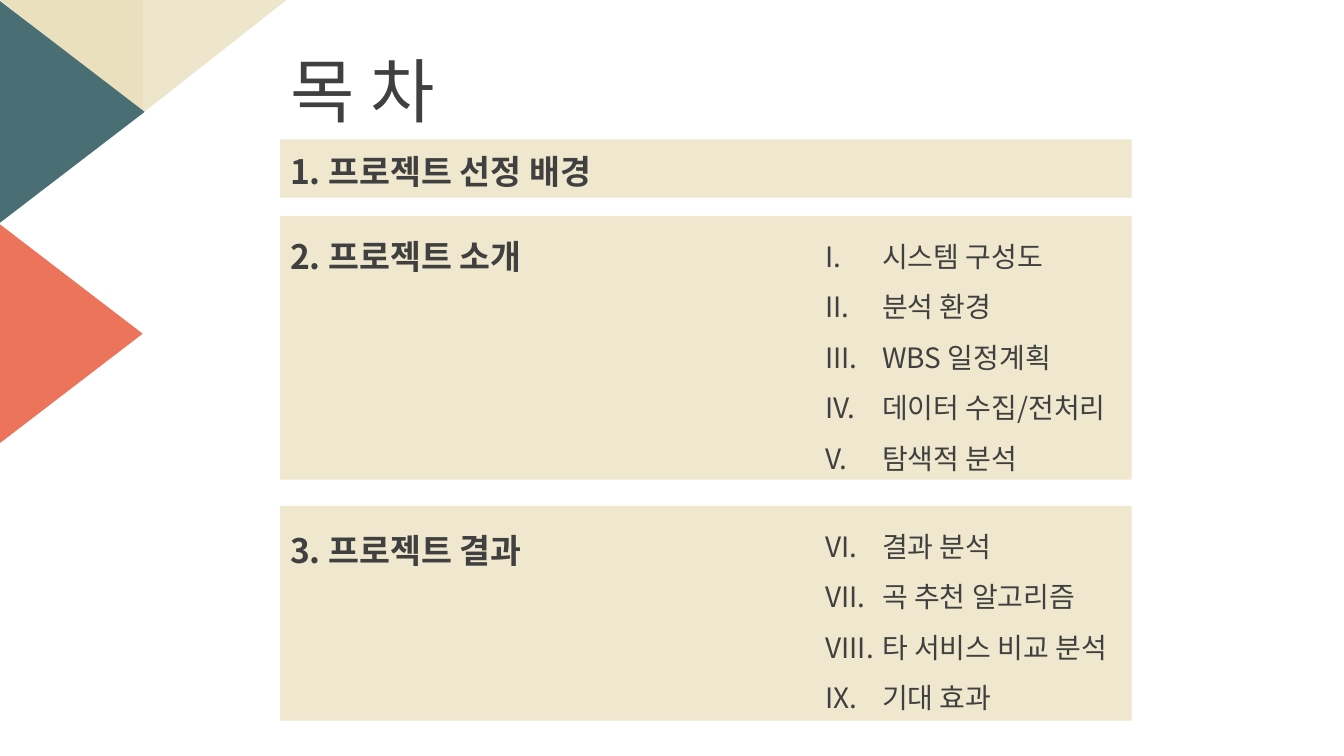
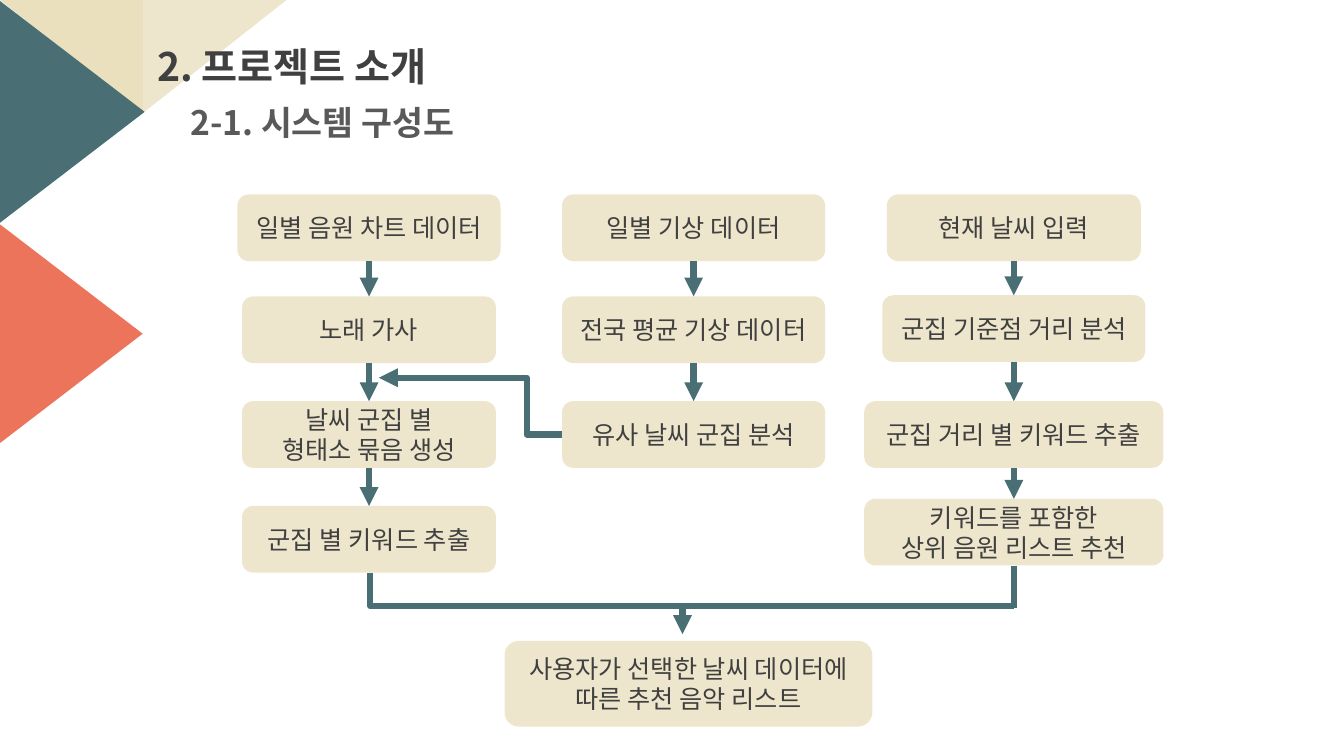
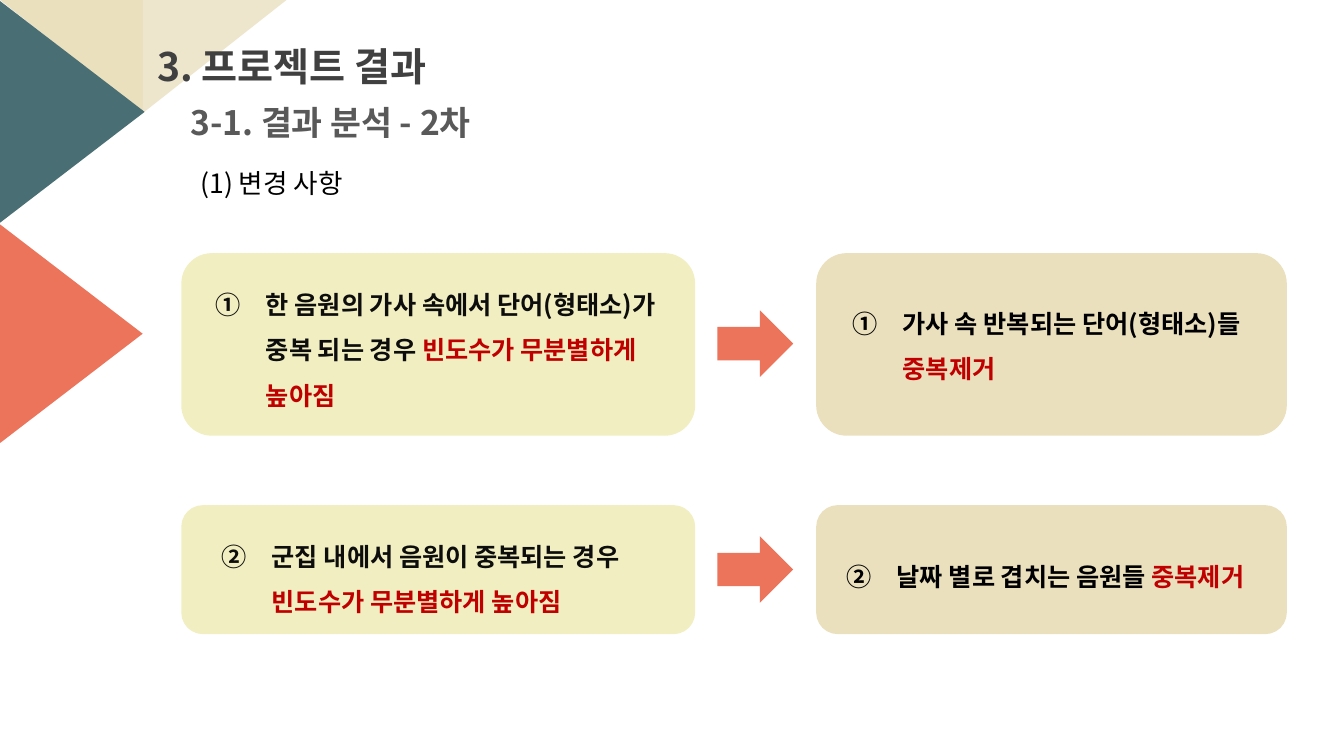
import pptx
import pptx.dml.color
import pptx.enum.shapes
import pptx.enum.text
import pptx.oxml
import pptx.oxml.ns
import pptx.util
import lxml.etree

Cm = pptx.util.Cm
Pt = pptx.util.Pt
RGBColor = pptx.dml.color.RGBColor
SHAPE = pptx.enum.shapes.MSO_SHAPE
CONNECTOR = pptx.enum.shapes.MSO_CONNECTOR
CENTER = pptx.enum.text.PP_ALIGN.CENTER
qn = pptx.oxml.ns.qn

FONT = "Noto Sans CJK KR"
SAND = RGBColor(0xEA, 0xE0, 0xBE)
CREAM = RGBColor(0xEE, 0xE6, 0xCC)
LEMON = RGBColor(0xF1, 0xEF, 0xC1)
TEAL = RGBColor(0x49, 0x6F, 0x74)
CORAL = RGBColor(0xEC, 0x74, 0x5B)
DARK = RGBColor(0x40, 0x40, 0x40)
GRAY = RGBColor(0x59, 0x59, 0x59)
INK = RGBColor(0x0D, 0x0D, 0x0D)
BLACK = RGBColor(0x00, 0x00, 0x00)
RED = RGBColor(0xC0, 0x00, 0x00)


def add_block(page, kind, left, top, width, height, color):
    block = page.shapes.add_shape(kind, Cm(left), Cm(top), Cm(width), Cm(height))
    block.shadow.inherit = False
    block.fill.solid()
    block.fill.fore_color.rgb = color
    block.line.fill.background()
    return block


def add_span(para, text, size, color, bold=False):
    span = para.add_run()
    span.text = text
    span.font.name = FONT
    span.font.size = Pt(size)
    span.font.bold = bold
    span.font.color.rgb = color
    properties = span.font._element
    lxml.etree.SubElement(properties, qn("a:ea")).set("typeface", FONT)


deck = pptx.Presentation()
deck.slide_width = Cm(33.87)
deck.slide_height = Cm(19.05)
blank = deck.slide_layouts[6]
contents, system, result = [deck.slides.add_slide(blank) for _ in range(3)]

for kind, left, top, width, height, turn, color in [
    (SHAPE.RIGHT_TRIANGLE, 0, 0, 3.61, 2.84, 180, SAND),
    (SHAPE.RIGHT_TRIANGLE, 3.99, -0.38, 2.84, 3.61, 90, CREAM),
    (SHAPE.ISOSCELES_TRIANGLE, -0.99, 0.99, 5.61, 3.66, 90, TEAL),
    (SHAPE.ISOSCELES_TRIANGLE, -1.04, 6.58, 5.61, 3.66, 90, CORAL),
]:
    triangle = add_block(contents, kind, left, top, width, height, color)
    triangle.rotation = turn
    blank.shapes.element.append(triangle.element)

numbered = []
cards = [
    (3.51, 1.47, 3.68, "1. 프로젝트 선정 배경", 0, 0, []),
    (5.44, 6.65, 5.82, "2. 프로젝트 소개", 5.49, 1,
     ["시스템 구성도", "분석 환경", "WBS 일정계획", "데이터 수집/전처리", "탐색적 분석"]),
    (12.75, 5.41, 13.23, "3. 프로젝트 결과", 12.79, 6,
     ["결과 분석", "곡 추천 알고리즘", "타 서비스 비교 분석", "기대 효과"]),
]
for top, height, heading_top, heading, list_top, start, items in cards:
    card = add_block(contents, SHAPE.RECTANGLE, 7.06, top, 21.46, height, SAND)
    tint = card.element.spPr.find(qn("a:solidFill")).find(qn("a:srgbClr"))
    lxml.etree.SubElement(tint, qn("a:alpha")).set("val", "74000")
    box = contents.shapes.add_textbox(Cm(7.06), Cm(heading_top), Cm(10.52), Cm(1.27))
    box.text_frame.word_wrap = True
    add_span(box.text_frame.paragraphs[0], heading, 24, DARK, True)
    if items:
        box = contents.shapes.add_textbox(Cm(20.55), Cm(list_top), Cm(8.69), Cm(0.25 + 1.27 * len(items)))
        box.text_frame.word_wrap = True
        for index, item in enumerate(items):
            para = box.text_frame.add_paragraph() if index else box.text_frame.paragraphs[0]
            add_span(para, item, 20, DARK)
            numbered.append((para, "romanUcPeriod", start, 1.43))

box = contents.shapes.add_textbox(Cm(7.06), Cm(1.07), Cm(4.34), Cm(2.39))
box.text_frame.word_wrap = True
add_span(box.text_frame.paragraphs[0], "목 차", 50, DARK)

for page, title, subtitle in [
    (system, "2. 프로젝트 소개", "2-1. 시스템 구성도"),
    (result, "3. 프로젝트 결과", "3-1. 결과 분석 - 2차"),
]:
    for text, left, top, size, color in [(title, 3.71, 1.07, 28, DARK), (subtitle, 4.55, 2.57, 24, GRAY)]:
        box = page.shapes.add_textbox(Cm(left), Cm(top), Cm(16.94), Cm(1.68))
        box.text_frame.word_wrap = True
        para = box.text_frame.paragraphs[0]
        para.line_spacing = 0.9
        add_span(para, text, size, color, True)

STEP_HEIGHT = 1.68
columns = [
    (9.3, [("일별 음원 차트 데이터", 6.63, 4.9), ("노래 가사", 6.4, 7.47),
           ("날씨 군집 별\n형태소 묶음 생성", 6.4, 10.11), ("군집 별 키워드 추출", 6.4, 12.75)]),
    (17.48, [("일별 기상 데이터", 6.63, 4.9), ("전국 평균 기상 데이터", 6.63, 7.47),
             ("유사 날씨 군집 분석", 6.63, 10.11)]),
    (25.55, [("현재 날씨 입력", 6.4, 4.9), ("군집 기준점 거리 분석", 6.63, 7.44),
             ("군집 거리 별 키워드 추출", 7.54, 10.11), ("키워드를 포함한\n상위 음원 리스트 추천", 7.54, 12.57)]),
    (17.35, [("사용자가 선택한 날씨 데이터에 따른 추천 음악 리스트", 9.27, 16.15)]),
]
joins = []
last_steps = []
for center, steps in columns:
    previous = None
    for text, width, top in steps:
        height = STEP_HEIGHT if len(steps) > 1 else 2.16
        step = add_block(system, SHAPE.ROUNDED_RECTANGLE, center - width / 2, top, width, height, CREAM)
        for index, line in enumerate(text.split("\n")):
            para = step.text_frame.add_paragraph() if index else step.text_frame.paragraphs[0]
            para.alignment = CENTER
            add_span(para, line, 18, DARK)
        if previous:
            arrow = system.shapes.add_connector(CONNECTOR.STRAIGHT, 0, 0, 0, 0)
            arrow.begin_connect(previous, 2)
            arrow.end_connect(step, 0)
            joins.append((arrow, True, None))
        previous = step
    last_steps.append(previous)

for kind, x1, y1, x2, y2, has_head, bend in [
    (CONNECTOR.ELBOW, 14.17, 10.95, 9.55, 9.52, True, 19264),
    (CONNECTOR.ELBOW, 9.33, 14.43, 25.55, 15.27, False, 0),
    (CONNECTOR.STRAIGHT, 17.2, 15.27, 17.2, 15.98, True, None),
    (CONNECTOR.STRAIGHT, 25.55, 14.25, 25.55, 15.32, False, None),
]:
    join = system.shapes.add_connector(kind, Cm(x1), Cm(y1), Cm(x2), Cm(y2))
    joins.append((join, has_head, bend))
join.begin_connect(last_steps[2], 2)

for join, has_head, bend in joins:
    join.line.width = Pt(4.5)
    join.line.color.rgb = TEAL
    properties = join.element.spPr
    if has_head:
        lxml.etree.SubElement(properties.find(qn("a:ln")), qn("a:tailEnd")).set("type", "triangle")
    if bend is not None:
        guides = properties.find(qn("a:prstGeom")).find(qn("a:avLst"))
        guide = lxml.etree.SubElement(guides, qn("a:gd"))
        guide.set("name", "adj1")
        guide.set("fmla", f"val {bend}")
    lxml.etree.SubElement(properties, qn("a:effectLst"))

box = result.shapes.add_textbox(Cm(4.8), Cm(4.09), Cm(6), Cm(1.07))
box.text_frame.word_wrap = True
add_span(box.text_frame.paragraphs[0], "(1) 변경 사항", 19, BLACK)

changes = [
    (6.38, 4.6, 7.82,
     (5.18, 6.78, 11.96, "한 음원의 가사 속에서 단어(형태소)가 중복 되는 경우 ", "빈도수가 무분별하게 높아짐"),
     (21.23, 7.26, 10.54, "가사 속 반복되는 단어(형태소)들 ", "중복제거")),
    (12.73, 3.25, 13.51,
     (5.33, 13.13, 10.87, "군집 내에서 음원이 중복되는 경우 ", "빈도수가 무분별하게 높아짐"),
     (21.08, 13.64, 11.2, "날짜 별로 겹치는 음원들 ", "중복제거")),
]
for number, (top, height, arrow_top, problem, remedy) in enumerate(changes, 1):
    add_block(result, SHAPE.RIGHT_ARROW, 18.08, arrow_top, 1.91, 1.68, CORAL)
    for (text_left, text_top, text_width, plain, marked), left, width, fill, color in [
        (problem, 4.57, 12.95, LEMON, INK),
        (remedy, 20.57, 11.86, SAND, BLACK),
    ]:
        add_block(result, SHAPE.ROUNDED_RECTANGLE, left, top, width, height, fill)
        box = result.shapes.add_textbox(Cm(text_left), Cm(text_top), Cm(text_width), Cm(2.46))
        box.text_frame.word_wrap = True
        para = box.text_frame.paragraphs[0]
        add_span(para, plain, 18, color, True)
        add_span(para, marked, 18, RED, True)
        numbered.append((para, "circleNumDbPlain", number, 1.27))

for para, style, start, indent in numbered:
    para.line_spacing = 1.5
    properties = para._p.get_or_add_pPr()
    properties.set("marL", str(Cm(indent)))
    properties.set("indent", str(-Cm(indent)))
    bullet = lxml.etree.SubElement(properties, qn("a:buAutoNum"))
    bullet.set("type", style)
    bullet.set("startAt", str(start))

deck.save("out.pptx")
